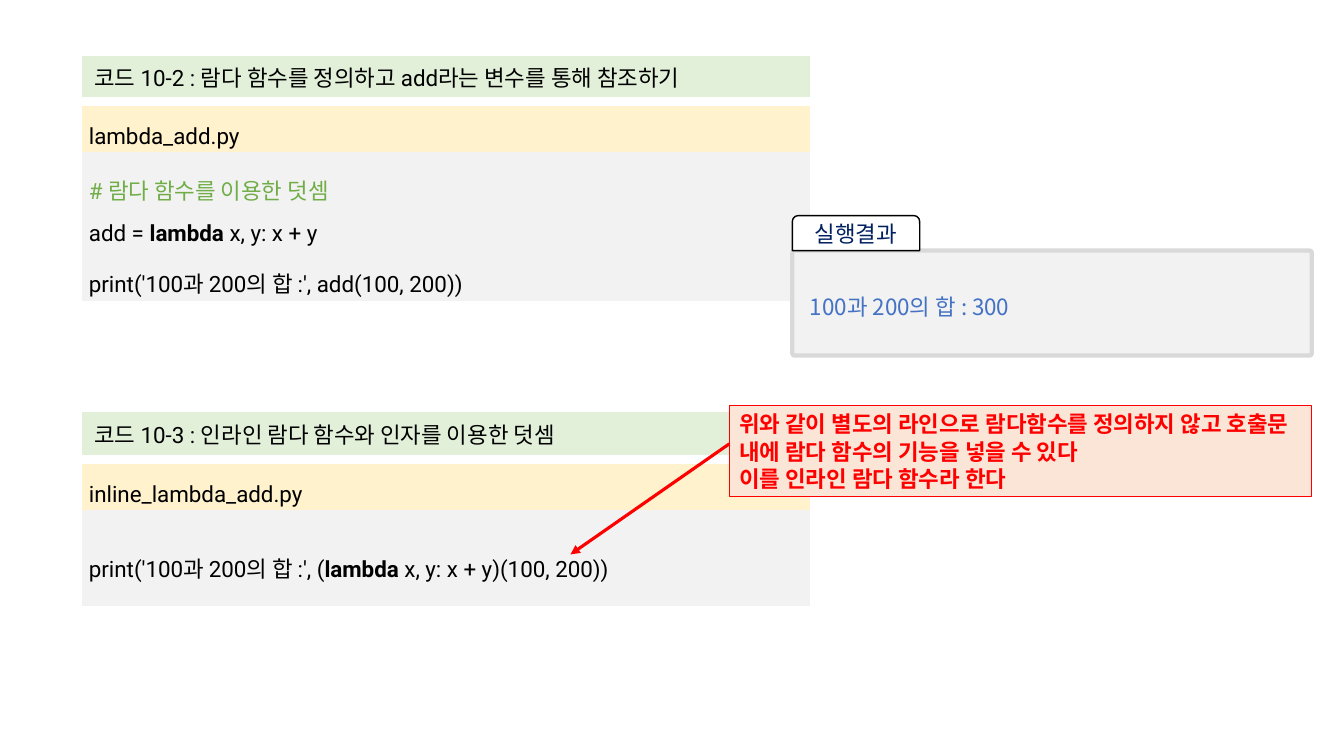
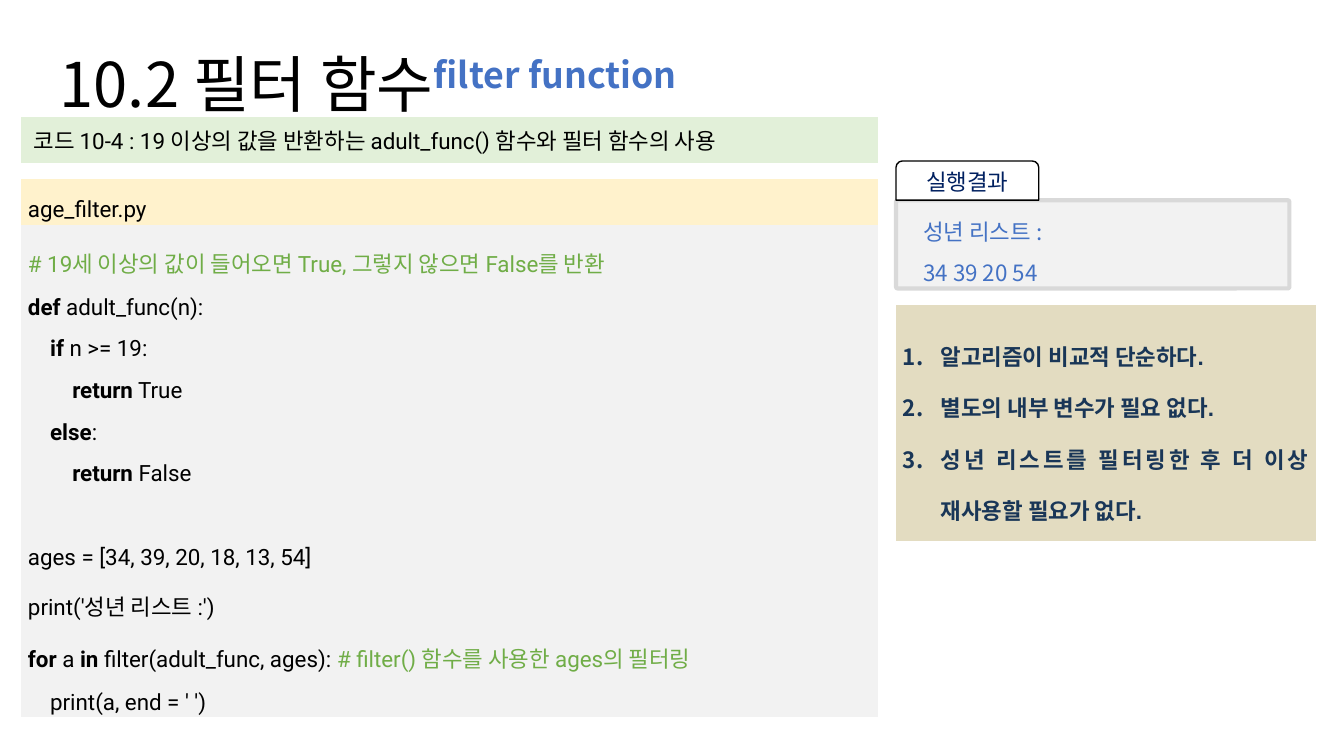
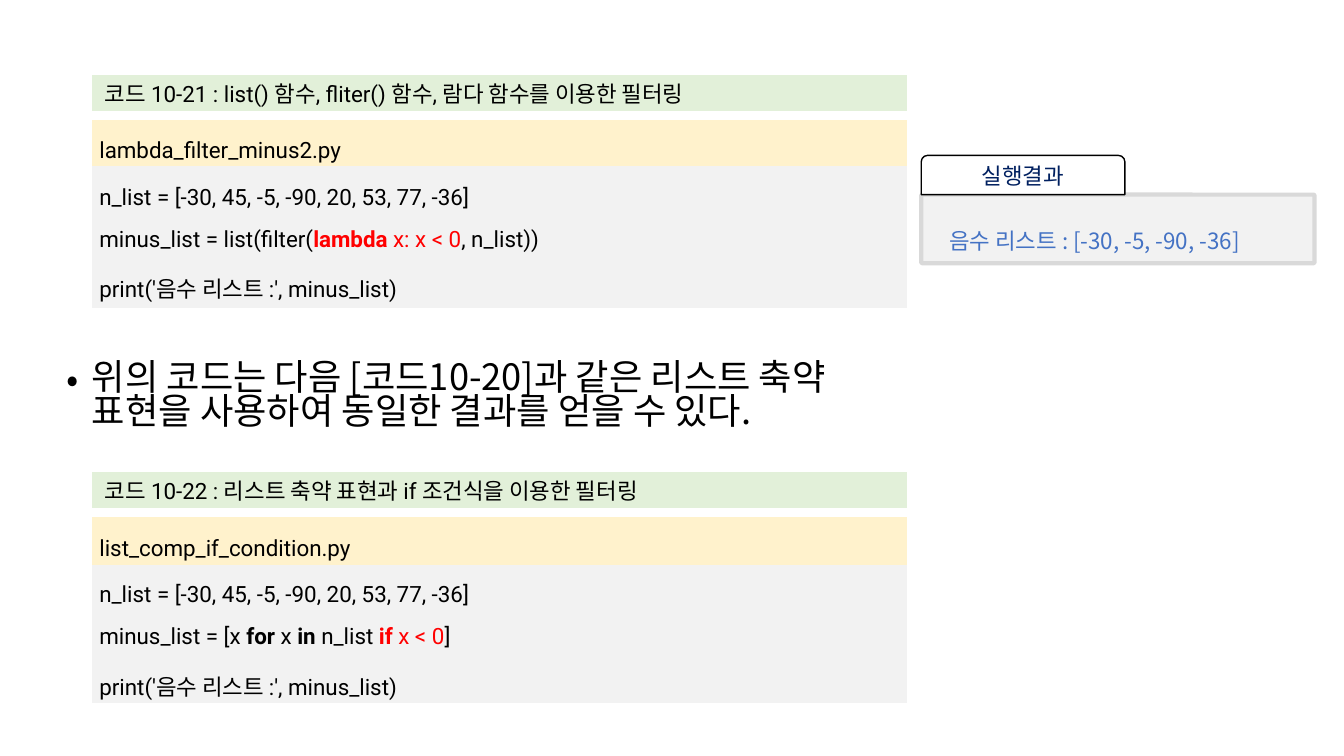
from dataclasses import dataclass

from lxml.etree import SubElement
from pptx import Presentation
from pptx.dml.color import RGBColor
from pptx.enum.shapes import MSO_CONNECTOR, MSO_SHAPE
from pptx.enum.text import MSO_ANCHOR, PP_ALIGN
from pptx.oxml.ns import qn
from pptx.util import Pt


@dataclass(frozen=True)
class Theme:
    korean: str = "Noto Sans CJK KR"
    code: str = "Roboto"
    latin: str = "Arial"
    text_size: float = 16
    title_size: float = 44
    bullet_size: float = 25.9
    black: str = "000000"
    white: str = "FFFFFF"
    blue: str = "4472C4"
    navy: str = "002060"
    red: str = "FF0000"
    green: str = "70AD47"
    heading_fill: str = "E2F0D9"
    file_fill: str = "FFF2CC"
    code_fill: str = "F2F2F2"
    result_line: str = "D9D9D9"
    callout_fill: str = "FBE5D6"
    sand: str = "E3DCC1"
    slate: str = "193657"


THEME = Theme()
CODE_SPACING = 1.6
CODE_LINE = 30  # height of one line of code
NO_STYLE = "{2D5ABB26-0587-4C30-8999-92F81FD0307C}"

# Kinds of code text: colour, bold
KINDS = {
    "plain": (THEME.black, False),
    "key": (THEME.black, True),
    "comment": (THEME.green, False),
    "mark": (THEME.red, False),
    "mark key": (THEME.red, True),
}

# A line of code is a plain string or a list of (text, kind); "" is a gap.
NUMBERS = "n_list = [-30, 45, -5, -90, 20, 53, 77, -36]"
PRINT_MINUS = "print('음수 리스트 :', minus_list)"

LAMBDA_SLIDE = {
    "listings": [
        {
            "at": (58.5, 294, 520), "rows": (31, 6.5, 32.5, 69),
            "heading": "코드 10-3 : 인라인 람다 함수와 인자를 이용한 덧셈",
            "file": "inline_lambda_add.py",
            "code": [
                [("print('100과 200의 합 :', (", "plain"), ("lambda", "key"),
                 (" x, y: x + y)(100, 200))", "plain")],
            ],
        },
        {
            "at": (58.5, 40, 520), "rows": (29.5, 6.5, 32.5, 106.5),
            "heading": "코드 10-2 : 람다 함수를 정의하고 add라는 변수를 통해 참조하기",
            "file": "lambda_add.py",
            "code": [
                [("# 람다 함수를 이용한 덧셈", "comment")],
                [("add = ", "plain"), ("lambda", "key"), (" x, y: x + y", "plain")],
                "print('100과 200의 합 :', add(100, 200))",
            ],
        },
    ],
    "result": {
        "box": (566, 179, 371, 75), "tab": (91, 25), "text_at": (571.5, 196),
        "lines": ["100과 200의 합 : 300"],
    },
    "callout": {
        "box": (521, 289.5, 415.5, 65.5),
        "arrow": (521, 317, 407.5, 396),
        "lines": [
            "위와 같이 별도의 라인으로 람다함수를 정의하지 않고 호출문 내에 람다 함수의 기능을 넣을 수 있다",
            "이를 인라인 람다 함수라 한다",
        ],
    },
}

FILTER_SLIDE = {
    "title": ("10.2 필터 함수", "filter function"),
    "reasons": {
        "at": (640, 218, 300), "height": 168.5,
        "lines": [
            "알고리즘이 비교적 단순하다.",
            "별도의 내부 변수가 필요 없다.",
            "성년 리스트를 필터링한 후 더 이상 재사용할 필요가 없다.",
        ],
    },
    "listings": [
        {
            "at": (15, 83.5, 612.5), "rows": (33, 11, 32.5, 351),
            "heading": "코드 10-4 : 19 이상의 값을 반환하는 adult_func() 함수와 필터 함수의 사용",
            "file": "age_filter.py",
            "code": [
                [("# 19세 이상의 값이 들어오면 True, 그렇지 않으면 False를 반환", "comment")],
                [("def ", "key"), ("adult_func(n):", "plain")],
                [("    ", "plain"), ("if", "key"), (" n >= 19:", "plain")],
                [("        ", "plain"), ("return", "key"), (" True", "plain")],
                [("    ", "plain"), ("else", "key"), (":", "plain")],
                [("        ", "plain"), ("return", "key"), (" False", "plain")],
                "",
                "ages = [34, 39, 20, 18, 13, 54]",
                "print('성년 리스트 :')",
                [("for", "key"), (" a ", "plain"), ("in", "key"),
                 (" filter(adult_func, ages): ", "plain"),
                 ("# filter() 함수를 사용한 ages의 필터링", "comment")],
                "    print(a, end = ' ')",
            ],
        },
    ],
    "result": {
        "box": (640, 143, 281, 63), "tab": (102, 28), "text_at": (652.5, 142),
        "lines": ["성년 리스트 :", "34 39 20 54"],
    },
}

MINUS_SLIDE = {
    "listings": [
        {
            "at": (66, 53.5, 582), "rows": (26, 6.5, 32.5, 101.5),
            "heading": "코드 10-21 : list() 함수, fliter() 함수, 람다 함수를 이용한 필터링",
            "file": "lambda_filter_minus2.py",
            "code": [
                NUMBERS,
                [("minus_list = list(filter(", "plain"), ("lambda", "mark key"),
                 (" x: x < 0", "mark"), (", n_list))", "plain")],
                PRINT_MINUS,
            ],
        },
        {
            "at": (66, 337, 582), "rows": (22, 6.5, 34, 94.5),
            "heading": "코드 10-22 : 리스트 축약 표현과 if 조건식을 이용한 필터링",
            "file": "list_comp_if_condition.py",
            "code": [
                NUMBERS,
                [("minus_list = [x ", "plain"), ("for", "key"), (" x ", "plain"),
                 ("in ", "key"), ("n_list ", "plain"), ("if", "mark key"),
                 (" x < 0", "mark"), ("]", "plain")],
                PRINT_MINUS,
            ],
        },
    ],
    "result": {
        "box": (658, 139, 281, 49), "tab": (145.5, 28), "text_at": (671, 148.5),
        "lines": ["음수 리스트 : [-30, -5, -90, -36]"],
    },
    "bullet": "위의 코드는 다음 [코드10-20]과 같은 리스트 축약 표현을 사용하여 동일한 결과를 얻을 수 있다.",
}


def points(values):
    return [Pt(value) for value in values]


def style(span, color, size=THEME.text_size, font=THEME.korean, bold=False):
    """Format a run, with the Korean font for its Hangul."""
    span.font.size = Pt(size)
    span.font.name = font
    span.font.bold = bold
    span.font.color.rgb = RGBColor.from_string(color)
    SubElement(span._r.get_or_add_rPr(), qn("a:ea"), typeface=THEME.korean)


def paint(shape, fill, line, width):
    shape.shadow.inherit = False
    shape.fill.solid()
    shape.fill.fore_color.rgb = RGBColor.from_string(fill)
    shape.line.color.rgb = RGBColor.from_string(line)
    shape.line.width = Pt(width)


def write_lines(frame, lines, color, spacing=None, **look):
    frame.word_wrap = True
    frame.text = "\n".join(lines)
    for para in frame.paragraphs:
        para.alignment = PP_ALIGN.LEFT
        if spacing:
            para.line_spacing = spacing
        for span in para.runs:
            style(span, color, **look)


def set_bullet(para, kind, indent, **attributes):
    properties = para._p.get_or_add_pPr()
    properties.set("marL", str(Pt(indent)))
    properties.set("indent", str(Pt(-indent)))
    SubElement(properties, qn("a:buFont"), typeface=THEME.korean)
    SubElement(properties, qn(kind), **attributes)


def add_plain_table(page, at, heights):
    """Add a one-column table without style and return its cells."""
    left, top, width = at
    frame = page.shapes.add_table(
        len(heights), 1, *points((left, top, width, sum(heights))))
    table = frame.table
    table.first_row = table.horz_banding = False
    table._tbl.tblPr.find(qn("a:tableStyleId")).text = NO_STYLE
    for row, height in zip(table.rows, heights):
        row.height = Pt(height)
    cells = [row.cells[0] for row in table.rows]
    for cell in cells:
        cell.vertical_anchor = MSO_ANCHOR.MIDDLE
        cell.margin_left = cell.margin_right = Pt(5)
        cell.margin_top = cell.margin_bottom = Pt(1.4)
    return cells


def fill_cell(cell, color):
    cell.fill.solid()
    cell.fill.fore_color.rgb = RGBColor.from_string(color)


def write_code(frame, lines):
    para, gap = frame.paragraphs[0], 0
    for number, line in enumerate(lines):
        if not line:
            gap += CODE_LINE
            continue
        if number:
            para = frame.add_paragraph()
        para.alignment = PP_ALIGN.JUSTIFY
        para.line_spacing = CODE_SPACING
        if gap:
            para.space_before, gap = Pt(gap), 0
        for text, kind in [(line, "plain")] if isinstance(line, str) else line:
            span = para.add_run()
            span.text = text
            color, bold = KINDS[kind]
            style(span, color, font=THEME.code, bold=bold)


def add_listing(page, listing):
    heading, gap, file, code = add_plain_table(page, listing["at"], listing["rows"])
    heading.margin_left = Pt(9)
    write_lines(heading.text_frame, [listing["heading"]], THEME.black, font=THEME.code)
    gap.margin_top = gap.margin_bottom = 0
    gap.fill.background()
    SubElement(gap.text_frame.paragraphs[0]._p, qn("a:endParaRPr"), sz="100")
    write_code(file.text_frame, [listing["file"]])
    write_code(code.text_frame, listing["code"])
    fill_cell(heading, THEME.heading_fill)
    fill_cell(file, THEME.file_fill)
    fill_cell(code, THEME.code_fill)


def add_reasons(page, reasons):
    cell, = add_plain_table(page, reasons["at"], [reasons["height"]])
    fill_cell(cell, THEME.sand)
    write_lines(cell.text_frame, reasons["lines"], THEME.slate, CODE_SPACING,
                font=THEME.latin, bold=True)
    for para in cell.text_frame.paragraphs:
        para.alignment = PP_ALIGN.JUSTIFY
        set_bullet(para, "a:buAutoNum", 27, type="arabicPeriod")


def add_result(page, result):
    """Add the output box, the tab on its top left corner and the output."""
    left, top, width, height = result["box"]
    tab_width, tab_height = result["tab"]
    box = page.shapes.add_shape(
        MSO_SHAPE.ROUNDED_RECTANGLE, *points(result["box"]))
    box.adjustments[0] = 0.02
    paint(box, THEME.code_fill, THEME.result_line, 3)

    tab = page.shapes.add_shape(
        MSO_SHAPE.ROUND_2_SAME_RECTANGLE,
        *points((left, top - tab_height, tab_width, tab_height)))
    paint(tab, THEME.white, THEME.black, 1)
    write_lines(tab.text_frame, ["실행결과"], THEME.navy)
    tab.text_frame.paragraphs[0].alignment = PP_ALIGN.CENTER
    tab.text_frame.vertical_anchor = MSO_ANCHOR.MIDDLE

    text_left, text_top = result["text_at"]
    output = page.shapes.add_textbox(
        *points((text_left, text_top, left + width - text_left, 30 * len(result["lines"]))))
    write_lines(output.text_frame, result["lines"], THEME.blue, Pt(29.3))


def add_callout(page, callout):
    box = page.shapes.add_shape(MSO_SHAPE.RECTANGLE, *points(callout["box"]))
    paint(box, THEME.callout_fill, THEME.red, 0.75)
    box.text_frame.vertical_anchor = MSO_ANCHOR.TOP
    write_lines(box.text_frame, callout["lines"], THEME.red, Pt(19.4), bold=True)
    arrow = page.shapes.add_connector(
        MSO_CONNECTOR.STRAIGHT, *points(callout["arrow"]))
    arrow.line.color.rgb = RGBColor.from_string(THEME.red)
    arrow.line.width = Pt(2.25)
    SubElement(arrow.line._get_or_add_ln(), qn("a:tailEnd"), type="triangle")
    SubElement(arrow._element.spPr, qn("a:effectLst"))


def add_title(page, title):
    box = page.shapes.add_textbox(*points((35.5, 10, 828, 104.5)))
    frame = box.text_frame
    frame.word_wrap = True
    frame.vertical_anchor = MSO_ANCHOR.MIDDLE
    para = frame.paragraphs[0]
    para.line_spacing = 0.9
    korean, english = [para.add_run() for _ in title]
    korean.text, english.text = title
    style(korean, THEME.black, THEME.title_size)
    style(english, THEME.blue, THEME.title_size, bold=True)
    english._r.get_or_add_rPr().set("baseline", "30000")


def add_bullet(page, text):
    box = page.shapes.add_textbox(*points((40.5, 256.5, 633.5, 62)))
    write_lines(box.text_frame, [text], THEME.black, Pt(24.3), size=THEME.bullet_size)
    set_bullet(box.text_frame.paragraphs[0], "a:buChar", 18, char="•")


def add_listings(page, listings):
    for listing in listings:
        add_listing(page, listing)


PARTS = {
    "title": add_title,
    "reasons": add_reasons,
    "listings": add_listings,
    "result": add_result,
    "callout": add_callout,
    "bullet": add_bullet,
}


def main():
    deck = Presentation()
    deck.slide_width, deck.slide_height = Pt(960), Pt(540)
    for content in (LAMBDA_SLIDE, FILTER_SLIDE, MINUS_SLIDE):
        page = deck.slides.add_slide(deck.slide_layouts[6])
        for part, value in content.items():
            PARTS[part](page, value)
    deck.save("out.pptx")


if __name__ == "__main__":
    main()
